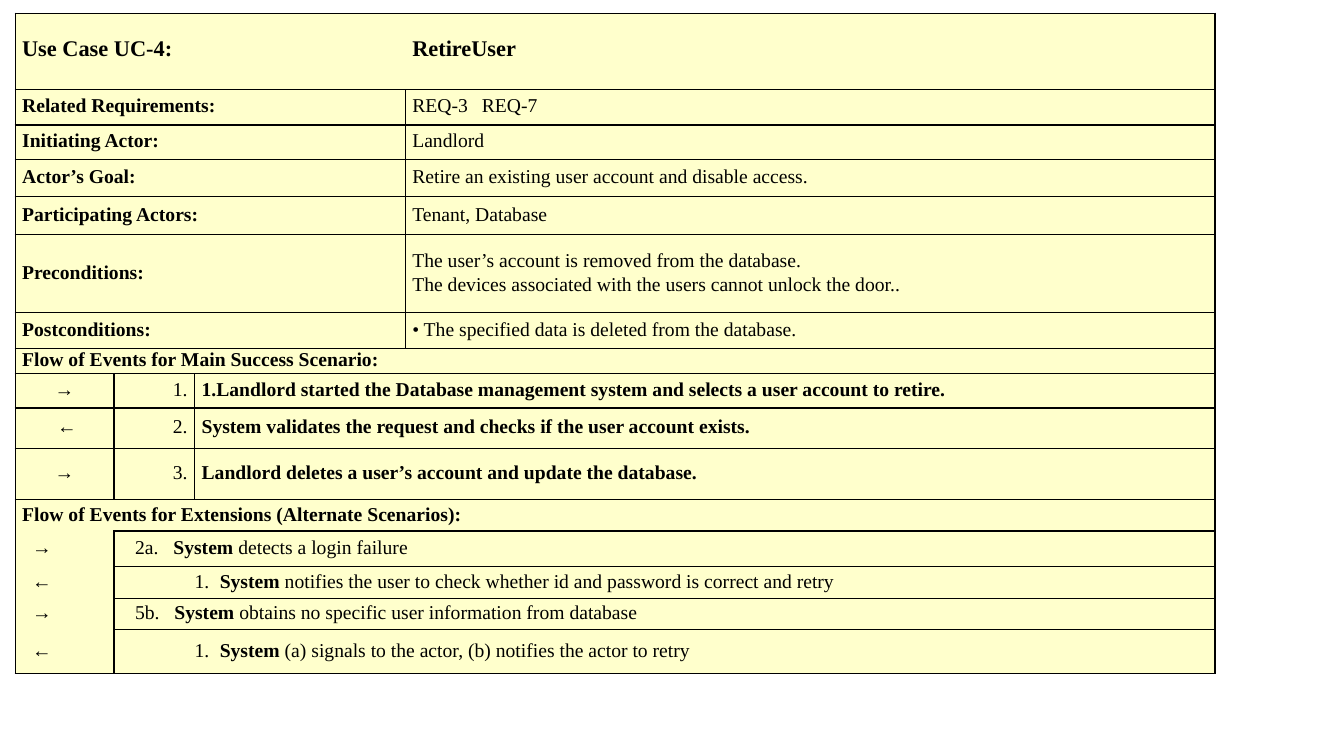
import pptx
import pptx.dml.color
import pptx.enum.text
import pptx.oxml
import pptx.oxml.ns
import pptx.util

Inches = pptx.util.Inches
Pt = pptx.util.Pt
Align = pptx.enum.text.PP_ALIGN
BLACK = pptx.dml.color.RGBColor(0x00, 0x00, 0x00)
CREAM = pptx.dml.color.RGBColor(0xFF, 0xFF, 0xCC)
FONT = "Times New Roman"
NO_STYLE = "{2D5ABB26-0587-4C30-8999-92F81FD0307C}"
ALL_SIDES = "LRTB"

COLUMN_WIDTHS = [0.98, 0.8, 2.09, 8.03]
ROW_HEIGHTS = [0.76, 0.35, 0.34, 0.37, 0.38, 0.77, 0.36, 0.25,
               0.34, 0.4, 0.51, 0.31, 0.35, 0.32, 0.31, 0.43]

DETAILS = [
    ("Related Requirements:", ["REQ-3\tREQ-7"], 0.69),
    ("Initiating Actor:", ["Landlord"], 0),
    ("Actor’s Goal:", ["Retire an existing user account and disable access."], 0),
    ("Participating Actors:", ["Tenant, Database"], 0),
    ("Preconditions:", ["The user’s account is removed from the database.",
                        "The devices associated with the users cannot unlock the door.."], 0),
    ("Postconditions:", ["• The specified data is deleted from the database."], 0),
]
MAIN_STEPS = [
    ("→", "1.Landlord started the Database management system and selects a user account to retire."),
    ("\u00a0←".replace("\u00a0", " "), "System validates the request and checks if the user account exists."),
    ("→", "Landlord deletes a user’s account and update the database."),
]
EXTENSIONS = [
    ("→", "2a.", " detects a login failure", 0.14, 0.38),
    ("←", "1.", " notifies the user to check whether id and password is correct and retry", 0.73, 0.25),
    ("→", "5b.", " obtains no specific user information from database", 0.14, 0.39),
    ("←", "1.", " (a) signals to the actor, (b) notifies the actor to retry", 0.73, 0.25),
]


def write_text(paragraph, runs, size=14, align=Align.JUSTIFY, before=0, indent=0, hang=0):
    paragraph.alignment = align
    paragraph.line_spacing = Pt(14)
    paragraph.space_before = Pt(before)
    if indent or hang:
        properties = paragraph._p.get_or_add_pPr()
        properties.set("marL", str(Inches(indent + hang)))
        properties.set("indent", str(-Inches(hang)))
    for text, bold in runs:
        run = paragraph.add_run()
        run.text = text
        run.font.name = FONT
        run.font.size = Pt(size)
        run.font.bold = bold
        run.font.color.rgb = BLACK


def style_cell(cell, sides):
    properties = cell._tc.get_or_add_tcPr()
    for side in ALL_SIDES:
        fill = f'<a:solidFill><a:srgbClr val="{BLACK}"/></a:solidFill>' if side in sides else "<a:noFill/>"
        properties.append(pptx.oxml.parse_xml(
            f'<a:ln{side} {pptx.oxml.ns.nsdecls("a")} w="{Pt(1)}">{fill}</a:ln{side}>'))
    cell.margin_left = cell.margin_right = Inches(0.07)
    cell.margin_top = cell.margin_bottom = 0
    cell.vertical_anchor = pptx.enum.text.MSO_ANCHOR.MIDDLE
    cell.fill.solid()
    cell.fill.fore_color.rgb = CREAM


def fill_cell(table, row, first, last, lines, sides=ALL_SIDES, **text_format):
    for column in range(first, last + 1):
        style_cell(table.cell(row, column), sides)
    cell = table.cell(row, first)
    if last > first:
        cell.merge(table.cell(row, last))
    frame = cell.text_frame
    for number, runs in enumerate(lines):
        paragraph = frame.add_paragraph() if number else frame.paragraphs[0]
        write_text(paragraph, runs, **text_format)


def add_use_case_table(slide):
    frame = slide.shapes.add_table(
        len(ROW_HEIGHTS), len(COLUMN_WIDTHS), Inches(0.15), Inches(0.13),
        Inches(sum(COLUMN_WIDTHS)), Inches(sum(ROW_HEIGHTS)))
    table = frame.table
    table.first_row = table.horz_banding = False
    table._tbl.tblPr.find(pptx.oxml.ns.qn("a:tableStyleId")).text = NO_STYLE
    for column, width in zip(table.columns, COLUMN_WIDTHS):
        column.width = Inches(width)
    for row, height in zip(table.rows, ROW_HEIGHTS):
        row.height = Inches(height)
    return table


def fill_details(table):
    heading = {"size": 16, "align": Align.LEFT, "before": 6}
    fill_cell(table, 0, 0, 2, [[("Use Case UC-4:", True)]], sides="LTB", **heading)
    fill_cell(table, 0, 3, 3, [[("RetireUser", True)]], sides="RTB", **heading)
    for row, (label, lines, hang) in enumerate(DETAILS, 1):
        fill_cell(table, row, 0, 2, [[(label, True)]], before=3)
        fill_cell(table, row, 3, 3, [[(line, False)] for line in lines], before=3, hang=hang)


def fill_main_scenario(table):
    fill_cell(table, 7, 0, 3, [[("Flow of Events for Main Success Scenario:", True)]], before=4)
    for number, (arrow, step) in enumerate(MAIN_STEPS, 1):
        row = 7 + number
        fill_cell(table, row, 0, 0, [[(arrow, False)]], align=Align.CENTER)
        fill_cell(table, row, 1, 1, [[(f"{number}.", False)]], align=Align.RIGHT)
        fill_cell(table, row, 2, 3, [[(step, True)]])


def fill_extensions(table):
    fill_cell(table, 11, 0, 3, [[("Flow of Events for Extensions (Alternate Scenarios):", True)]],
              sides="LRT", align=Align.LEFT)
    last_row = len(ROW_HEIGHTS) - 1
    for row, (arrow, number, action, indent, hang) in enumerate(EXTENSIONS, 12):
        arrow_sides = "LRB" if row == last_row else "LR"
        fill_cell(table, row, 0, 0, [[(arrow, False)]], sides=arrow_sides, indent=0.1)
        runs = [(f"{number}\t", False), ("System", True), (action, False)]
        fill_cell(table, row, 1, 3, [runs], indent=indent, hang=hang)


def main():
    presentation = pptx.Presentation()
    presentation.slide_width = Inches(13.33)
    presentation.slide_height = Inches(7.5)
    slide = presentation.slides.add_slide(presentation.slide_layouts[6])
    table = add_use_case_table(slide)
    fill_details(table)
    fill_main_scenario(table)
    fill_extensions(table)
    presentation.save("out.pptx")


if __name__ == "__main__":
    main()
